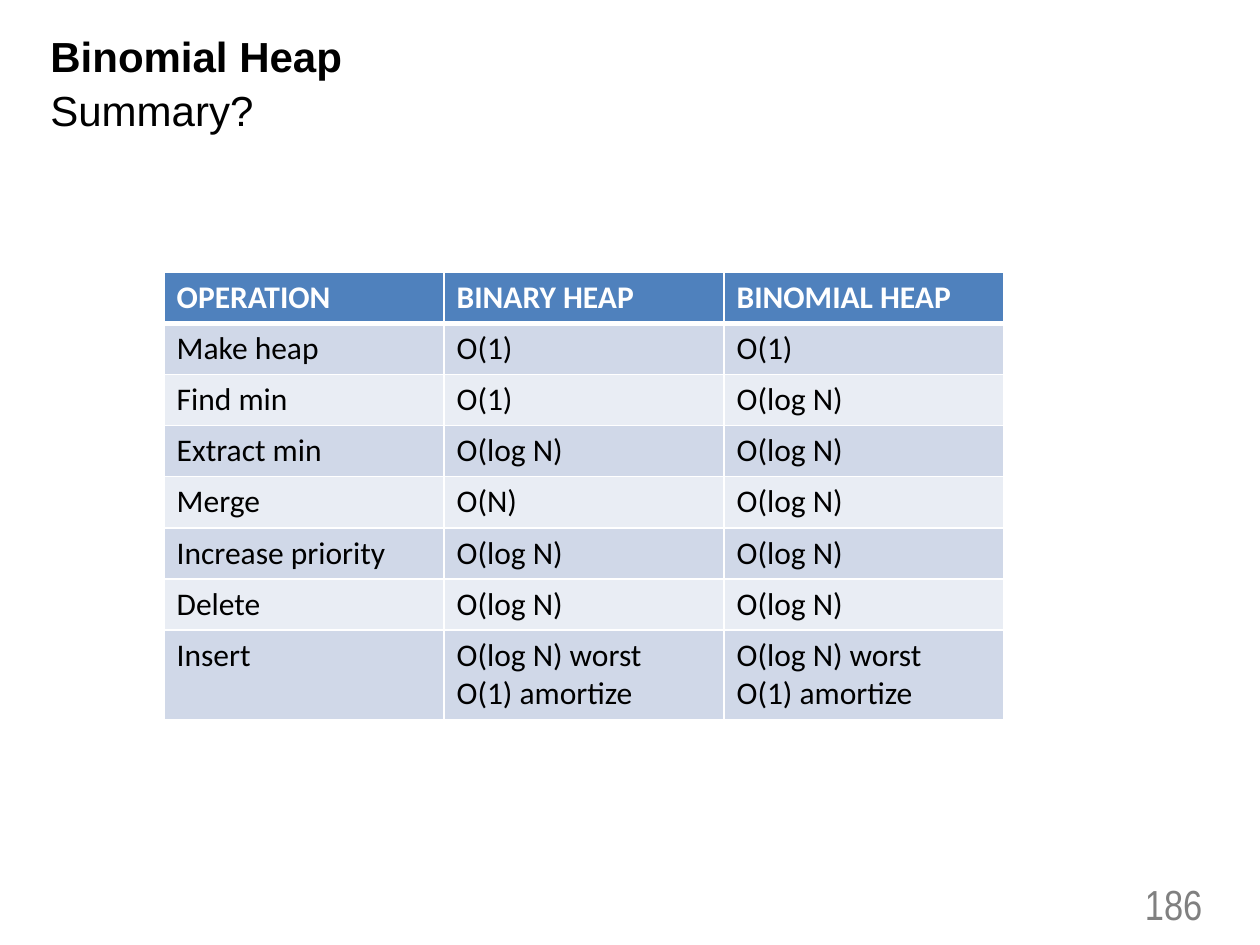
from pptx import Presentation
from pptx.dml.color import RGBColor
from pptx.enum.text import MSO_ANCHOR, MSO_AUTO_SIZE, PP_ALIGN
from pptx.oxml import parse_xml
from pptx.oxml.ns import nsdecls
from pptx.util import Pt

TOP, MIDDLE = MSO_ANCHOR.TOP, MSO_ANCHOR.MIDDLE
LEFT, RIGHT = PP_ALIGN.LEFT, PP_ALIGN.RIGHT
NO_FIT = MSO_AUTO_SIZE.NONE

COLORS = {
    "head": "4F81BD",
    "odd": "D0D8E8",
    "even": "E9EDF4",
    "white": "FFFFFF",
    "black": "000000",
    "gray": "808080",
}

ROWS = [
    ("OPERATION", "BINARY HEAP", "BINOMIAL HEAP"),
    ("Make heap", "O(1)", "O(1)"),
    ("Find min", "O(1)", "O(log N)"),
    ("Extract min", "O(log N)", "O(log N)"),
    ("Merge", "O(N)", "O(log N)"),
    ("Increase priority", "O(log N)", "O(log N)"),
    ("Delete", "O(log N)", "O(log N)"),
    ("Insert", "O(log N) worst\nO(1) amortize", "O(log N) worst\nO(1) amortize"),
]


def rgb(name):
    return RGBColor.from_string(COLORS[name])


def style(par, face, size, color, bold=False, align=LEFT):
    par.alignment = align
    font = par.font
    font.name, font.size, font.bold = face, Pt(size), bold
    font.color.rgb = rgb(color)


def place(shape, box):
    shape.left, shape.top, shape.width, shape.height = map(Pt, box)


def add_title(slide, box):
    title = slide.shapes.title
    place(title, box)
    frame = title.text_frame
    frame.auto_size = NO_FIT
    frame.vertical_anchor = TOP
    frame.text = "Binomial Heap\nSummary?"
    for i, par in enumerate(frame.paragraphs):
        style(par, "Arial", 24, "black", bold=i == 0)
        par.line_spacing = 0.9
        par.space_before = Pt(5 * i)


def add_border(cell, side, width):
    cell._tc.get_or_add_tcPr().append(parse_xml(
        f'<a:{side} {nsdecls("a")} w="{Pt(width)}"><a:solidFill>'
        f'<a:srgbClr val="{COLORS["white"]}"/></a:solidFill></a:{side}>'))


def fill_cell(cell, text, row):
    head = row == 0
    cell.text = text
    for par in cell.text_frame.paragraphs:
        style(par, "Calibri", 18, "white" if head else "black", bold=head)
    # Borders come before the fill in the cell properties
    for side in ("lnL", "lnR", "lnT", "lnB"):
        thick = (side == "lnB" and head) or (side == "lnT" and row == 1)
        add_border(cell, side, 3 if thick else 1)
    cell.fill.solid()
    cell.fill.fore_color.rgb = rgb("head" if head else "odd" if row % 2 else "even")


def add_costs(slide, box):
    x, y, width, height = box
    count, cols = len(ROWS), len(ROWS[0])
    step = 29.2
    table = slide.shapes.add_table(count, cols, *map(Pt, box)).table
    for col in table.columns:
        col.width = Pt(width / cols)
    for r, texts in enumerate(ROWS):
        last = r == count - 1
        table.rows[r].height = Pt(height - step * r if last else step)
        for c, text in enumerate(texts):
            fill_cell(table.cell(r, c), text, r)


def add_number(slide, box):
    frame = slide.shapes.add_textbox(*map(Pt, box)).text_frame
    frame.word_wrap = True
    frame.vertical_anchor = MIDDLE
    frame.text = "186"
    style(frame.paragraphs[0], "Arial Narrow", 24, "gray", align=RIGHT)


def main():
    deck = Presentation()
    deck.slide_width, deck.slide_height = Pt(720), Pt(540)
    slide = deck.slides.add_slide(deck.slide_layouts[5])
    add_title(slide, (21.6, 17.3, 411, 61))
    add_costs(slide, (93.8, 155.6, 480, 255.2))
    add_number(slide, (598.3, 502, 95.8, 28.8))
    deck.save("out.pptx")


if __name__ == "__main__":
    main()
